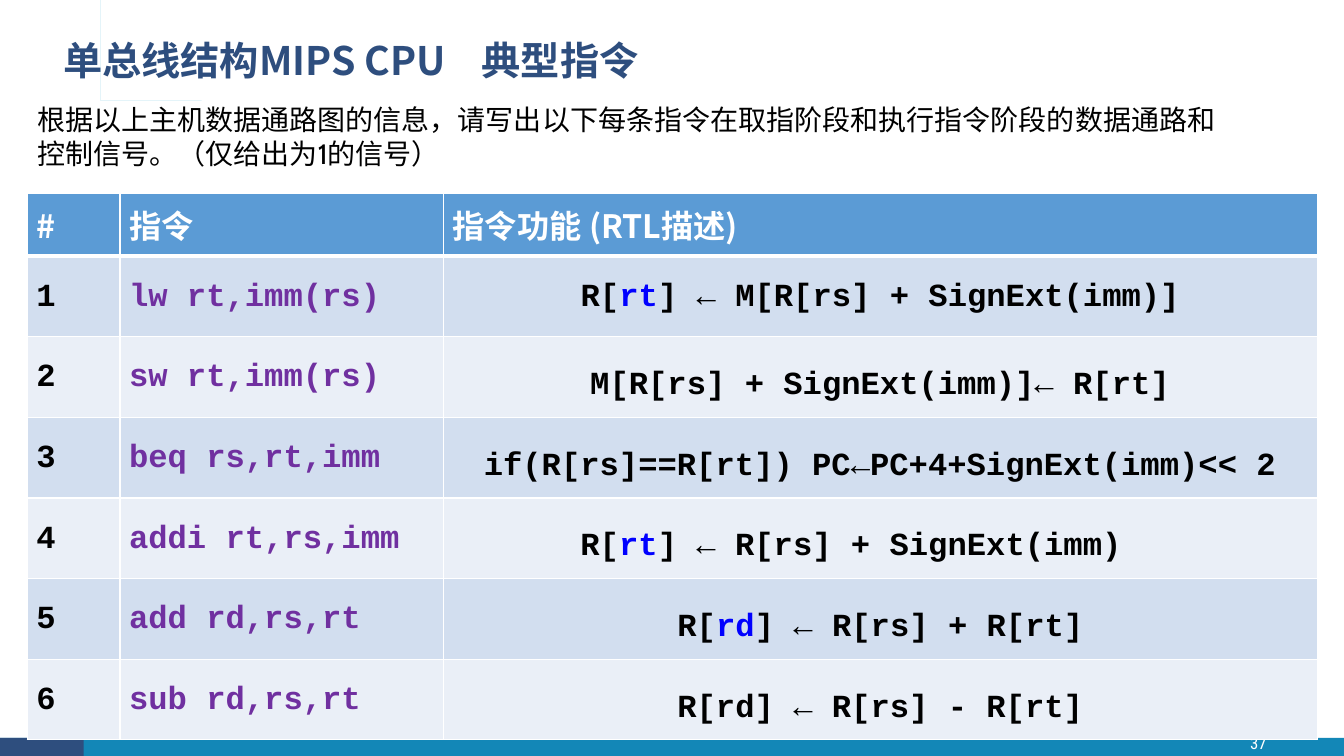
"""Build the slide of typical instructions for a single-bus MIPS CPU."""
from lxml.etree import SubElement
from pptx import Presentation
from pptx.dml.color import RGBColor
from pptx.enum.shapes import MSO_SHAPE
from pptx.enum.text import MSO_ANCHOR, PP_ALIGN
from pptx.oxml.ns import qn
from pptx.util import Inches, Pt

WHITE = RGBColor(0xFF, 0xFF, 0xFF)
BLACK = RGBColor(0, 0, 0)
NAVY = RGBColor(0x2E, 0x4E, 0x7E)
TEAL = RGBColor(0x13, 0x87, 0xB7)
SKY = RGBColor(0x28, 0xA9, 0xD6)
HEADER_BLUE = RGBColor(0x5B, 0x9B, 0xD5)
BANDS = RGBColor(0xD2, 0xDE, 0xEF), RGBColor(0xEA, 0xEF, 0xF7)
PURPLE = RGBColor(0x70, 0x30, 0xA0)
BLUE = RGBColor(0, 0, 0xFF)

HEADING_FONT = "Noto Sans CJK SC"
CODE_FONT = "Courier New"

TITLE = "单总线结构MIPS CPU\t典型指令"
TITLE_TAB = 4.15
INTRO = ("根据以上主机数据通路图的信息，请写出以下每条指令在取指阶段和执行指令阶段的"
         "数据通路和控制信号。（仅给出为1的信号）")
PAGE_NUMBER = "37"
HEADERS = ["#", "指令", "指令功能 (RTL描述)"]
INSTRUCTIONS = [
    ("lw rt,imm(rs)", [("R[", BLACK), ("rt", BLUE), ("] ← M[R[rs] + SignExt(imm)]", BLACK)]),
    ("sw rt,imm(rs)", [("M[R[rs] + SignExt(imm)]← R[rt]", BLACK)]),
    ("beq rs,rt,imm", [("if(R[rs]==R[rt]) PC←PC+4+SignExt(imm)<< 2", BLACK)]),
    ("addi rt,rs,imm", [("R[", BLACK), ("rt", BLUE), ("] ← R[rs] + SignExt(imm)", BLACK)]),
    ("add rd,rs,rt", [("R[", BLACK), ("rd", BLUE), ("] ← R[rs] + R[rt]", BLACK)]),
    ("sub rd,rs,rt", [("R[rd] ← R[rs] - R[rt]", BLACK)]),
]
SHIFTED_LEFT = "addi rt,rs,imm"
COLUMN_WIDTHS = [0.92, 3.21, 8.67]
HEADER_HEIGHT, ROW_HEIGHT = 0.62, 0.8
CELL_INSETS = (0.09, 0.05, 0.09, 0.05)
FUNCTION_INSETS = (0.07, 0, 0.07, 0)
SHIFTED_INSETS = (0.07, 0, 0.65, 0)
TITLE_MARK = [
    (0.36, 0.39), (0.39, 0.39), (0.39, 0.84), (0.44, 0.84), (0.44, 0.39), (0.54, 0.39),
    (0.54, 0.85), (1.87, 0.85), (1.87, 0.87), (0.52, 0.87), (0.52, 0.41), (0.47, 0.41),
    (0.47, 0.87), (0.36, 0.87),
]


def write(frame, text, size=23, font=CODE_FONT, color=BLACK, bold=True,
          align=PP_ALIGN.LEFT, spacing=None, tab=None):
    """Fill the first paragraph with a string or a list of (text, color) runs."""
    paragraph = frame.paragraphs[0]
    if tab:
        tabs = SubElement(paragraph._p.get_or_add_pPr(), qn("a:tabLst"))
        SubElement(tabs, qn("a:tab"), pos=str(Inches(tab)), algn="l")
    paragraph.alignment = align
    if spacing:
        paragraph.line_spacing = spacing
    for piece, piece_color in [(text, color)] if isinstance(text, str) else text:
        run = paragraph.add_run()
        run.text = piece
        run.font.size = Pt(size)
        run.font.name = font
        run.font.bold = bold
        run.font.color.rgb = piece_color
        if font != CODE_FONT:
            SubElement(run._r.get_or_add_rPr(), qn("a:ea"), typeface=HEADING_FONT)


def add_text(slide, place, text, insets=(0.1, 0.05, 0.1, 0.05), anchor=MSO_ANCHOR.MIDDLE, **style):
    """Add a wrapping text box."""
    frame = slide.shapes.add_textbox(*map(Inches, place)).text_frame
    frame.word_wrap = True
    frame.vertical_anchor = anchor
    (frame.margin_left, frame.margin_top,
     frame.margin_right, frame.margin_bottom) = map(Inches, insets)
    write(frame, text, **style)


def paint(shape, color):
    """Give a shape a flat fill with no outline or shadow."""
    shape.fill.solid()
    shape.fill.fore_color.rgb = color
    shape.line.fill.background()
    shape.shadow.inherit = False


def fill_cell(cell, text, fill, insets=CELL_INSETS, anchor=MSO_ANCHOR.TOP, bottom=1, **style):
    """Set the text, white borders and fill of one table cell."""
    (cell.margin_left, cell.margin_top,
     cell.margin_right, cell.margin_bottom) = map(Inches, insets)
    cell.vertical_anchor = anchor
    for side, width in (("L", 1), ("R", 1), ("T", 1), ("B", bottom)):
        border = SubElement(cell._tc.get_or_add_tcPr(), qn(f"a:ln{side}"), w=str(Pt(width)))
        SubElement(SubElement(border, qn("a:solidFill")), qn("a:srgbClr"), val=str(WHITE))
    cell.fill.solid()
    cell.fill.fore_color.rgb = fill
    write(cell.text_frame, text, **style)


def add_instruction_table(slide):
    """Add the table of instructions and their RTL descriptions."""
    height = HEADER_HEIGHT + ROW_HEIGHT * len(INSTRUCTIONS)
    table = slide.shapes.add_table(
        len(INSTRUCTIONS) + 1, len(HEADERS), Inches(0.27), Inches(1.92),
        Inches(sum(COLUMN_WIDTHS)), Inches(height)).table
    for column, width in zip(table.columns, COLUMN_WIDTHS):
        column.width = Inches(width)
    for index, row in enumerate(table.rows):
        row.height = Inches(ROW_HEIGHT if index else HEADER_HEIGHT)
    for column, header in enumerate(HEADERS):
        fill_cell(table.cell(0, column), header, HEADER_BLUE, anchor=MSO_ANCHOR.MIDDLE,
                  bottom=3, font=HEADING_FONT, color=WHITE)
    for number, (instruction, function) in enumerate(INSTRUCTIONS, 1):
        band = BANDS[(number - 1) % 2]
        fill_cell(table.cell(number, 0), str(number), band, spacing=1.5)
        fill_cell(table.cell(number, 1), instruction, band, color=PURPLE, spacing=1.5)
        insets, anchor = FUNCTION_INSETS, MSO_ANCHOR.MIDDLE
        if number == 1:
            insets, anchor = CELL_INSETS, MSO_ANCHOR.TOP
        elif instruction == SHIFTED_LEFT:
            insets = SHIFTED_INSETS
        fill_cell(table.cell(number, 2), function, band, insets=insets, anchor=anchor,
                  align=PP_ALIGN.CENTER, spacing=1.5)


def main():
    """Assemble and save the slide."""
    deck = Presentation()
    deck.slide_width, deck.slide_height = Inches(13.33), Inches(7.5)
    slide = deck.slides.add_slide(deck.slide_layouts[6])
    for preset, place, color in (
            (MSO_SHAPE.OVAL, (12.35, 7.21, 0.27, 0.27), TEAL),
            (MSO_SHAPE.RECTANGLE, (0, 7.32, 13.33, 0.18), TEAL),
            (MSO_SHAPE.RECTANGLE, (0, 7.32, 0.83, 0.18), NAVY)):
        paint(slide.shapes.add_shape(preset, *map(Inches, place)), color)
    add_text(slide, (12.32, 7.21, 0.32, 0.31), PAGE_NUMBER, insets=(0, 0, 0, 0), size=12,
             font="Roboto Condensed", color=WHITE, bold=False, align=PP_ALIGN.CENTER)
    outline = slide.shapes.build_freeform(*TITLE_MARK[0], scale=Inches(1))
    outline.add_line_segments(TITLE_MARK[1:], close=True)
    paint(outline.convert_to_shape(), SKY)
    add_text(slide, (0.53, 0.28, 11.5, 0.68), TITLE, size=28, font=HEADING_FONT,
             color=NAVY, spacing=0.9, tab=TITLE_TAB)
    add_instruction_table(slide)
    add_text(slide, (0.27, 0.97, 12.14, 0.77), INTRO, anchor=MSO_ANCHOR.TOP, size=20,
             font="Cabin", bold=False)
    deck.save("out.pptx")


if __name__ == "__main__":
    main()
